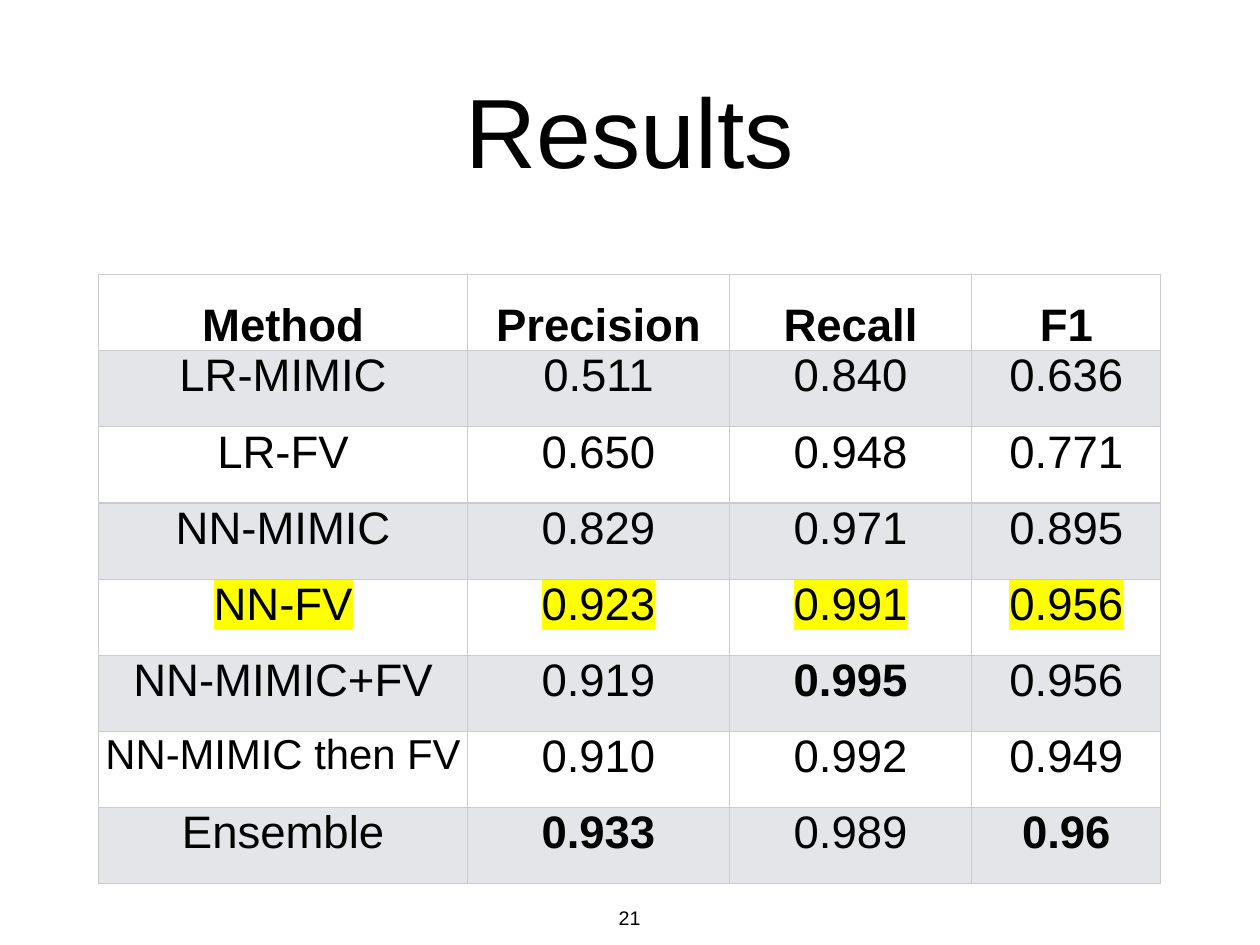
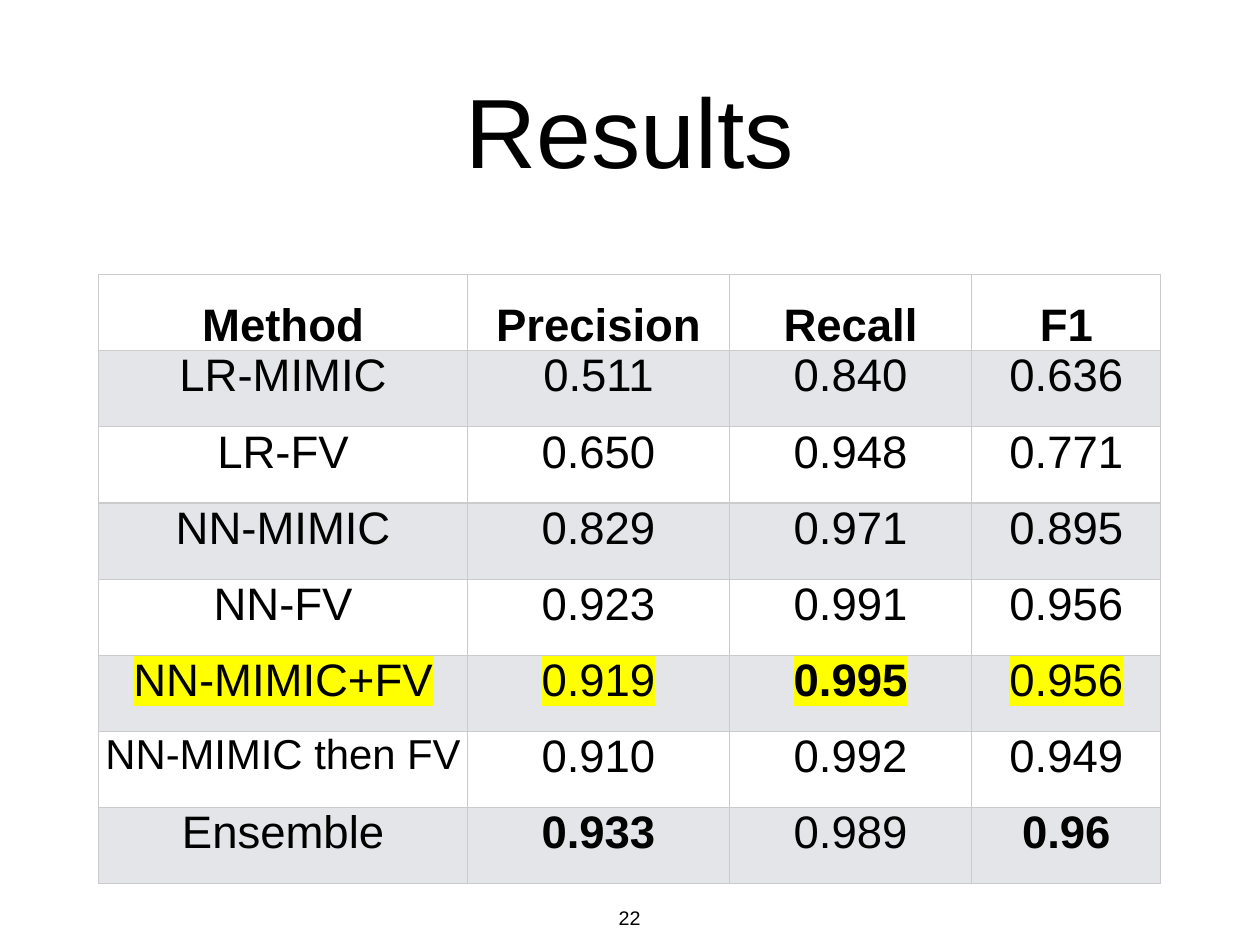
import pptx
import pptx.util
import pptx.dml.color
import pptx.enum.text
import pptx.oxml.ns
import lxml.etree

Inches = pptx.util.Inches
Pt = pptx.util.Pt
ANCHOR = pptx.enum.text.MSO_ANCHOR

COLORS = {
    "text": "000000",
    "plain": "FFFFFF",
    "band": "E3E5E8",
    "border": "CBCBCB",
    "highlight": "FFFF00",
}
FONT = "Arial"
ROW_HEIGHT = 0.86
COLUMN_WIDTHS = [4.17, 2.95, 2.74, 2.13]
ROWS = [
    ["Method", "Precision", "Recall", "F1"],
    ["LR-MIMIC", "0.511", "0.840", "0.636"],
    ["LR-FV", "0.650", "0.948", "0.771"],
    ["NN-MIMIC", "0.829", "0.971", "0.895"],
    ["NN-FV", "0.923", "0.991", "0.956"],
    ["NN-MIMIC+FV", "0.919", "0.995", "0.956"],
    ["NN-MIMIC then FV", "0.910", "0.992", "0.949"],
    ["Ensemble", "0.933", "0.989", "0.96"],
]
BEST_SCORES = ["0.933", "0.995", "0.96"]
SMALL_LABEL = "NN-MIMIC then FV"
THIN_EDGES = [0, 1, len(ROWS)]
PAGES = [("21", "NN-FV"), ("22", "NN-MIMIC+FV")]


def write_text(frame, text, size, bold=False):
    para = frame.paragraphs[0]
    para.alignment = pptx.enum.text.PP_ALIGN.CENTER
    span = para.add_run()
    span.text = text
    span.font.size = Pt(size)
    span.font.bold = bold
    span.font.color.rgb = pptx.dml.color.RGBColor.from_string(COLORS["text"])
    span.font.name = FONT
    return span


def add_xml_color(parent, tag, color):
    holder = lxml.etree.SubElement(parent, pptx.oxml.ns.qn(tag))
    lxml.etree.SubElement(holder, pptx.oxml.ns.qn("a:srgbClr"), val=COLORS[color])
    return holder


deck = pptx.Presentation()
deck.slide_width = Inches(14.22)
deck.slide_height = Inches(10.67)

for number, highlighted_method in PAGES:
    page = deck.slides.add_slide(deck.slide_layouts[6])

    for text, size, place, anchor, wrap in [
        ("Results", 80, (1.04, 0.28, 12.14, 2.36), ANCHOR.MIDDLE, True),
        (number, 16, (6.92, 10.17, 0.37, 0.35), ANCHOR.TOP, False),
    ]:
        box = page.shapes.add_textbox(*[Inches(length) for length in place])
        frame = box.text_frame
        frame.word_wrap = wrap
        frame.vertical_anchor = anchor
        frame.margin_left = frame.margin_right = Inches(0.06)
        frame.margin_top = frame.margin_bottom = Inches(0.06)
        write_text(frame, text, size)

    table = page.shapes.add_table(
        len(ROWS), len(COLUMN_WIDTHS), Inches(1.11), Inches(3.1),
        Inches(sum(COLUMN_WIDTHS)), Inches(ROW_HEIGHT * len(ROWS)),
    ).table
    table.first_row = False
    table.horz_banding = False
    for column, width in zip(table.columns, COLUMN_WIDTHS):
        column.width = Inches(width)

    for row_index, values in enumerate(ROWS):
        table.rows[row_index].height = Inches(ROW_HEIGHT)
        is_header = row_index == 0
        top_width, bottom_width = [
            0.5 if edge in THIN_EDGES else 1 for edge in (row_index, row_index + 1)
        ]
        for column_index, value in enumerate(values):
            cell = table.cell(row_index, column_index)
            cell.margin_left = cell.margin_right = Inches(0.07)
            cell.margin_top = cell.margin_bottom = 0
            cell.vertical_anchor = ANCHOR.BOTTOM if is_header else ANCHOR.TOP

            properties = cell._tc.get_or_add_tcPr()
            for side, width in zip("LRTB", (1, 1, top_width, bottom_width)):
                line = lxml.etree.SubElement(
                    properties, pptx.oxml.ns.qn("a:ln" + side), w=str(Pt(width))
                )
                add_xml_color(line, "a:solidFill", "border")

            cell.fill.solid()
            cell.fill.fore_color.rgb = pptx.dml.color.RGBColor.from_string(
                COLORS["band" if row_index % 2 else "plain"]
            )
            span = write_text(
                cell.text_frame, value, 34 if value == SMALL_LABEL else 37,
                is_header or value in BEST_SCORES,
            )
            if values[0] == highlighted_method:
                run_properties = span._r.get_or_add_rPr()
                marker = add_xml_color(run_properties, "a:highlight", "highlight")
                run_properties.find(pptx.oxml.ns.qn("a:latin")).addprevious(marker)

deck.save("out.pptx")
